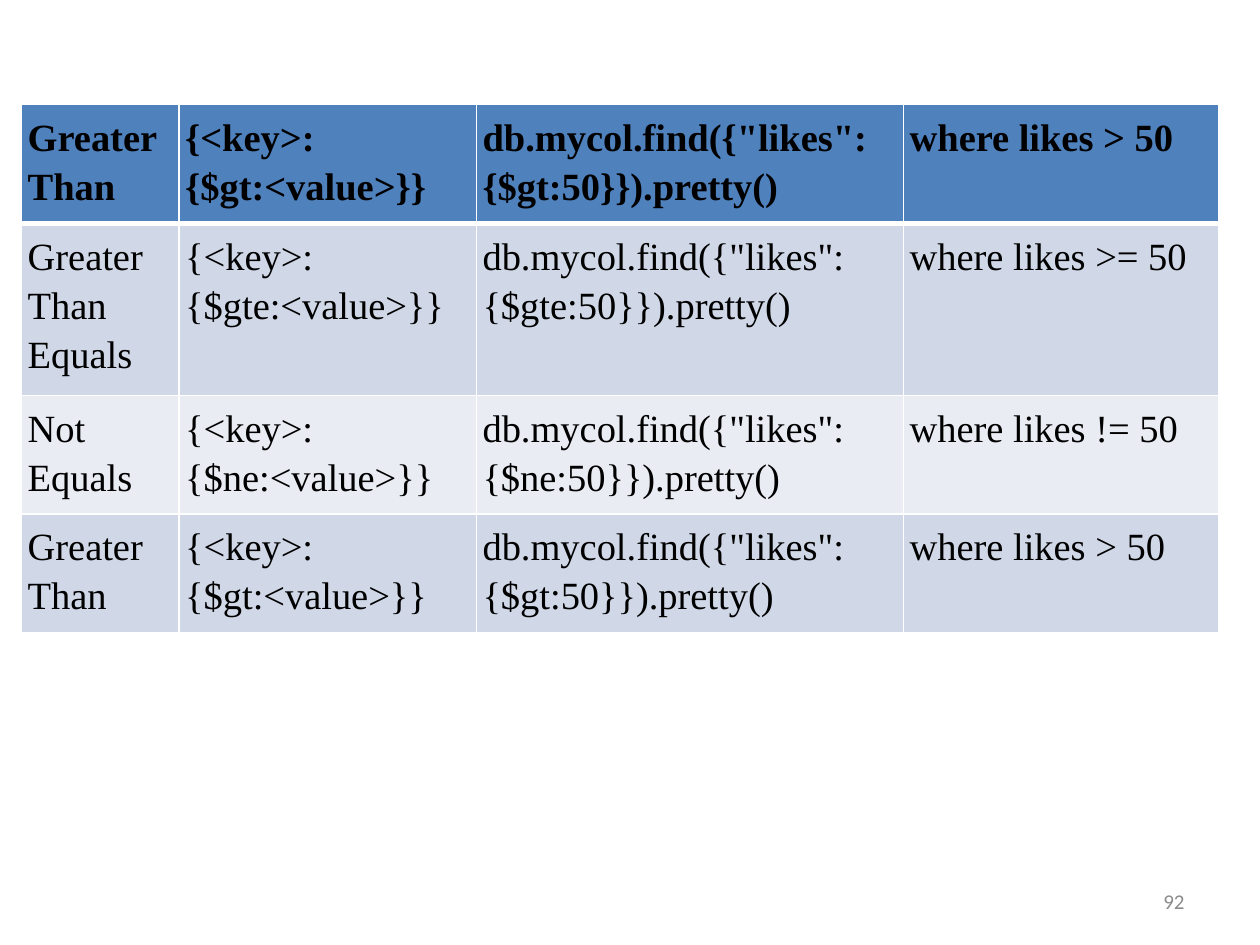
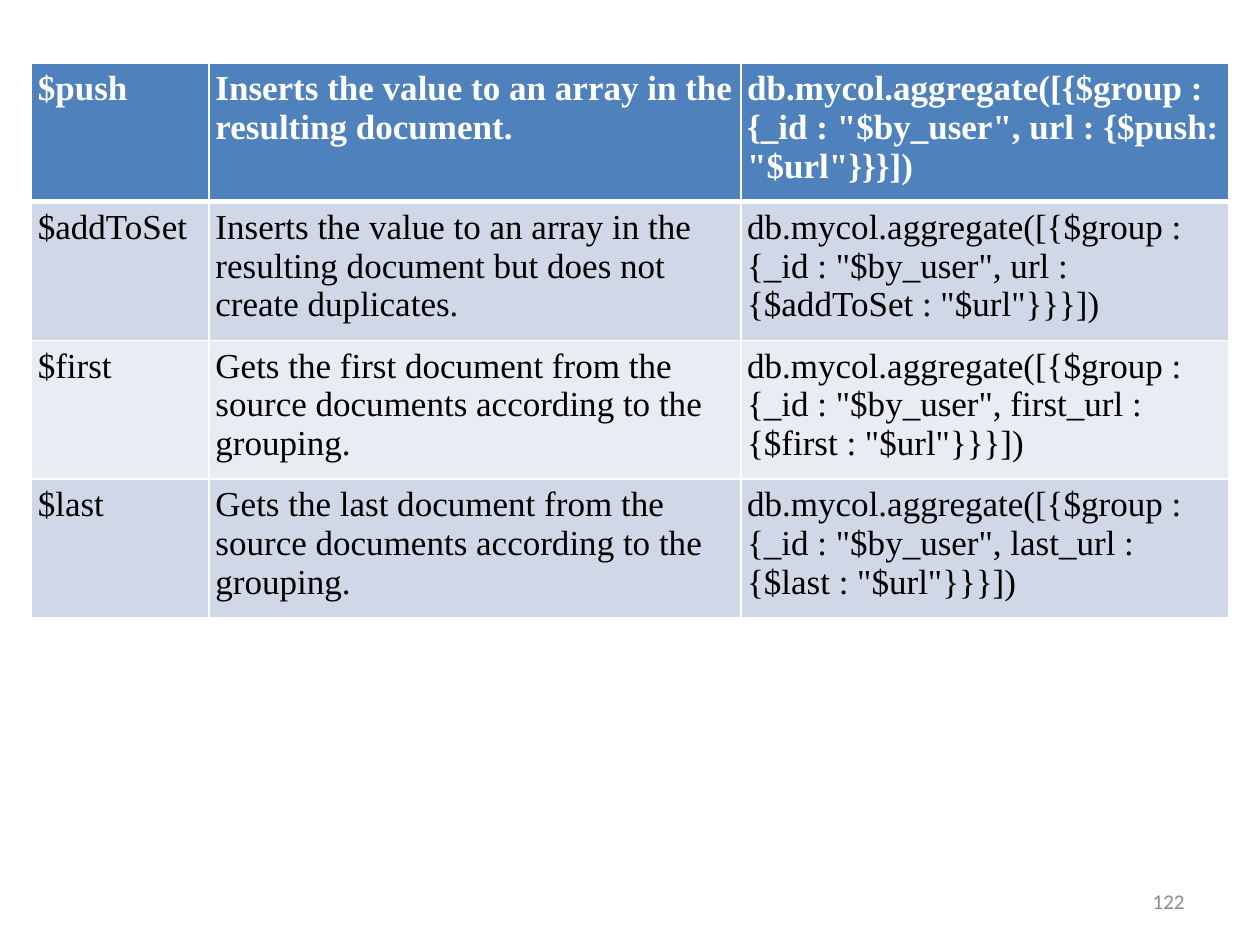
from dataclasses import dataclass

from lxml.etree import SubElement as Sub
from pptx import Presentation
from pptx.dml.color import RGBColor as RGB
from pptx.enum.text import MSO_ANCHOR as Anchor, PP_ALIGN as Align
from pptx.oxml.ns import qn
from pptx.util import Inches, Pt


@dataclass(frozen=True)
class Theme:
    head: str = "4F81BD"
    bands: tuple = ("D0D8E7", "E9ECF3")
    rule: str = "FFFFFF"
    ink: str = "000000"
    light: str = "FFFFFF"
    muted: str = "8B8B8B"
    body: str = "Times New Roman"
    foot: str = "Calibri"
    large: int = 22
    medium: int = 20
    small: int = 12
    thin: float = 0.96
    thick: float = 3
    pad: float = 0.05


THEME = Theme()

COMPARE = [
    ("Greater Than", "{<key>:{$gt:<value>}}",
     'db.mycol.find({"likes":{$gt:50}}).pretty()', "where likes > 50"),
    ("Greater Than Equals", "{<key>:{$gte:<value>}}",
     'db.mycol.find({"likes":{$gte:50}}).pretty()', "where likes >= 50"),
    ("Not Equals", "{<key>:{$ne:<value>}}",
     'db.mycol.find({"likes":{$ne:50}}).pretty()', "where likes != 50"),
    ("Greater Than", "{<key>:{$gt:<value>}}",
     'db.mycol.find({"likes":{$gt:50}}).pretty()', "where likes > 50"),
]

GROUP = [
    ("$push", "Inserts the value to an array in the resulting document.",
     'db.mycol.aggregate([{$group : {_id : "$by_user", url : {$push: "$url"}}}])'),
    ("$addToSet",
     "Inserts the value to an array in the resulting document but does not create duplicates.",
     'db.mycol.aggregate([{$group : {_id : "$by_user", url : {$addToSet : "$url"}}}])'),
    ("$first",
     "Gets the first document from the source documents according to the grouping.",
     'db.mycol.aggregate([{$group : {_id : "$by_user", first_url : {$first : "$url"}}}])'),
    ("$last",
     "Gets the last document from the source documents according to the grouping.",
     'db.mycol.aggregate([{$group : {_id : "$by_user", last_url : {$last : "$url"}}}])'),
]


def add_run(para, text, font, size, color, bold=False):
    run = para.add_run()
    run.text = text
    run.font.name = font
    run.font.size = Pt(size)
    run.font.bold = bold
    run.font.color.rgb = RGB.from_string(color)


def add_rules(cell, row):
    """Draw the cell borders, with a thick rule under the header row."""
    props = cell._tc.get_or_add_tcPr()
    heavy = {("lnB", 0), ("lnT", 1)}
    for side in ("lnL", "lnR", "lnT", "lnB"):
        width = THEME.thick if (side, row) in heavy else THEME.thin
        line = Sub(props, qn(f"a:{side}"), w=str(Pt(width)))
        fill = Sub(line, qn("a:solidFill"))
        Sub(fill, qn("a:srgbClr"), val=THEME.rule)


def fill_cell(cell, row, text, size, color, space):
    cell.margin_left = cell.margin_right = Inches(THEME.pad)
    cell.margin_top = cell.margin_bottom = Inches(THEME.pad)
    add_rules(cell, row)
    cell.fill.solid()
    shade = THEME.bands[(row - 1) % 2] if row else THEME.head
    cell.fill.fore_color.rgb = RGB.from_string(shade)
    para = cell.text_frame.paragraphs[0]
    para.line_spacing = space
    add_run(para, text, THEME.body, size, color, bold=row == 0)


def add_grid(slide, left, top, cols, rows, data, size, head, space=1.0):
    frame = slide.shapes.add_table(
        len(rows), len(cols), Inches(left), Inches(top),
        Inches(sum(cols)), Inches(sum(rows)))
    table = frame.table
    for col, width in zip(table.columns, cols):
        col.width = Inches(width)
    for row, height in zip(table.rows, rows):
        row.height = Inches(height)
    for r, texts in enumerate(data):
        color = THEME.ink if r else head
        for c, text in enumerate(texts):
            fill_cell(table.cell(r, c), r, text, size, color, space)


def add_number(slide, number):
    box = slide.shapes.add_textbox(
        Inches(7.17), Inches(6.95), Inches(2.33), Inches(0.4))
    frame = box.text_frame
    frame.word_wrap = True
    frame.vertical_anchor = Anchor.MIDDLE
    para = frame.paragraphs[0]
    para.alignment = Align.RIGHT
    add_run(para, number, THEME.foot, THEME.small, THEME.muted)


def add_page(deck, number):
    slide = deck.slides.add_slide(deck.slide_layouts[6])
    add_number(slide, number)
    return slide


def main():
    deck = Presentation()
    deck.slide_width, deck.slide_height = Inches(10), Inches(7.5)

    slide = add_page(deck, "92")
    add_grid(slide, 0.17, 0.83, [1.25, 2.36, 3.39, 2.5],
             [0.83, 1.22, 0.83, 0.83], COMPARE,
             THEME.large, THEME.ink, space=1.15)

    slide = add_page(deck, "122")
    add_grid(slide, 0.25, 0.5, [1.41, 4.22, 3.87], [1.03] * 4, GROUP,
             THEME.medium, THEME.light)

    deck.save("out.pptx")


if __name__ == "__main__":
    main()
